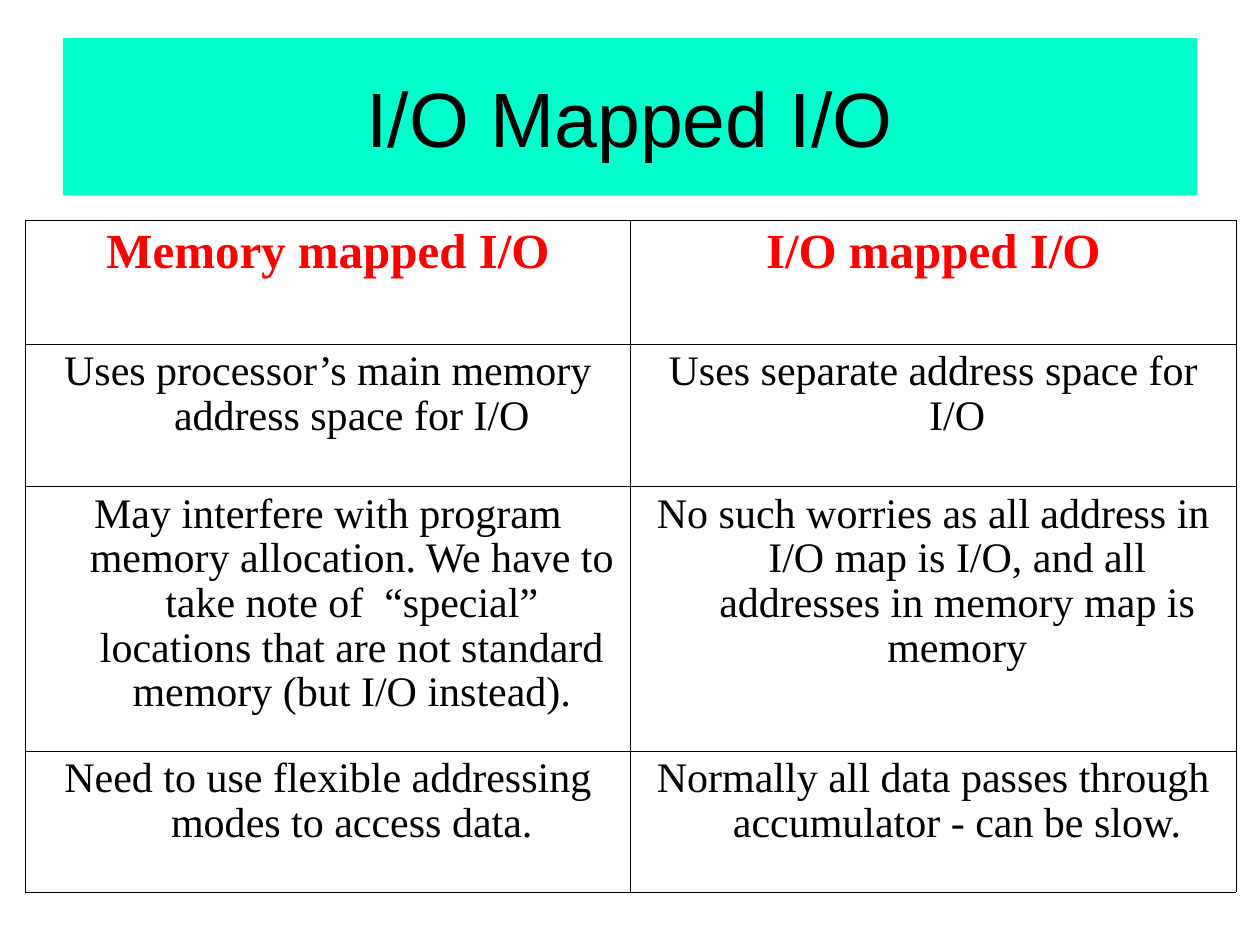
from dataclasses import dataclass

from lxml.etree import SubElement as Sub
from pptx import Presentation
from pptx.dml.color import RGBColor as RGB
from pptx.enum.shapes import MSO_SHAPE as Kind
from pptx.enum.text import MSO_ANCHOR as Anchor, PP_ALIGN as Align
from pptx.oxml.ns import qn
from pptx.util import Inches, Pt

HUES = {"band": "00FFCC", "text": "000000", "head": "FF0000", "rule": "000000"}


@dataclass(frozen=True)
class Style:
    """Look of one kind of text."""
    face: str
    size: int
    hue: str
    bold: bool = False


TITLE = Style("Arial", 44, "text")
HEAD = Style("Times New Roman", 28, "head", True)
BODY = Style("Times New Roman", 24, "text")


@dataclass(frozen=True)
class Row:
    """One line of the comparison."""
    high: float
    left: str
    right: str
    style: Style = BODY


ROWS = [
    Row(0.98, "Memory mapped I/O", "I/O mapped I/O", HEAD),
    Row(1.13, "Uses processor’s main memory address space for I/O",
        "Uses separate address space for I/O"),
    Row(2.1, "May interfere with program memory allocation. We have to take note of "
        " “special” locations that are not standard memory (but I/O instead).",
        "No such worries as all address in I/O map is I/O, and all addresses "
        "in memory map is memory"),
    Row(1.12, "Need to use flexible addressing modes to access data.",
        "Normally all data passes through accumulator - can be slow."),
]


def set_all(item, vals: dict) -> None:
    """Set each named value on the item."""
    for name, val in vals.items():
        setattr(item, name, val)


def write(frame, text: str, style: Style):
    """Put one centred paragraph in the frame."""
    para = frame.paragraphs[0]
    para.alignment = Align.CENTER
    run = para.add_run()
    run.text = text
    set_all(run.font, {"name": style.face, "size": Pt(style.size), "bold": style.bold})
    run.font.color.rgb = RGB.from_string(HUES[style.hue])
    return para


def rule(cell) -> None:
    """Draw thin lines on all four sides of the cell."""
    props = cell._tc.get_or_add_tcPr()
    for side in ("lnL", "lnR", "lnT", "lnB"):
        line = Sub(props, qn(f"a:{side}"), w=str(Pt(0.45)))
        fill = Sub(line, qn("a:solidFill"))
        Sub(fill, qn("a:srgbClr"), val=HUES["rule"])


def fill_cell(cell, text: str, style: Style) -> None:
    """Format one cell and write its text with a hanging indent."""
    rule(cell)
    cell.fill.background()
    set_all(cell, {"margin_left": Inches(0.1), "margin_right": Inches(0.1),
                   "margin_top": Inches(0.05), "margin_bottom": Inches(0.05),
                   "vertical_anchor": Anchor.TOP})
    para = write(cell.text_frame, text, style)
    para.line_spacing = 0.96
    props = para._p.get_or_add_pPr()
    props.set("marL", str(Inches(0.38)))
    props.set("indent", str(Inches(-0.38)))


def add_title(slide, text: str) -> None:
    """Draw the title band."""
    band = slide.shapes.add_shape(
        Kind.RECTANGLE, Inches(0.5), Inches(0.3), Inches(9), Inches(1.25))
    band.shadow.inherit = False
    band.fill.solid()
    band.fill.fore_color.rgb = RGB.from_string(HUES["band"])
    band.line.fill.background()
    set_all(band.text_frame, {"word_wrap": True, "vertical_anchor": Anchor.MIDDLE})
    write(band.text_frame, text, TITLE)


def add_grid(slide, rows: list[Row]) -> None:
    """Draw the comparison table."""
    high = sum(row.high for row in rows)
    grid = slide.shapes.add_table(
        len(rows), 2, Inches(0.2), Inches(1.75), Inches(9.61), Inches(high)).table
    set_all(grid, {"first_row": False, "horz_banding": False})
    for num, row in enumerate(rows):
        grid.rows[num].height = Inches(row.high)
        for col, text in enumerate((row.left, row.right)):
            fill_cell(grid.cell(num, col), text, row.style)


def main() -> None:
    """Build and save the slide."""
    deck = Presentation()
    set_all(deck, {"slide_width": Inches(10), "slide_height": Inches(7.5)})
    slide = deck.slides.add_slide(deck.slide_layouts[6])
    add_title(slide, "I/O Mapped I/O")
    add_grid(slide, ROWS)
    deck.save("out.pptx")


if __name__ == "__main__":
    main()
